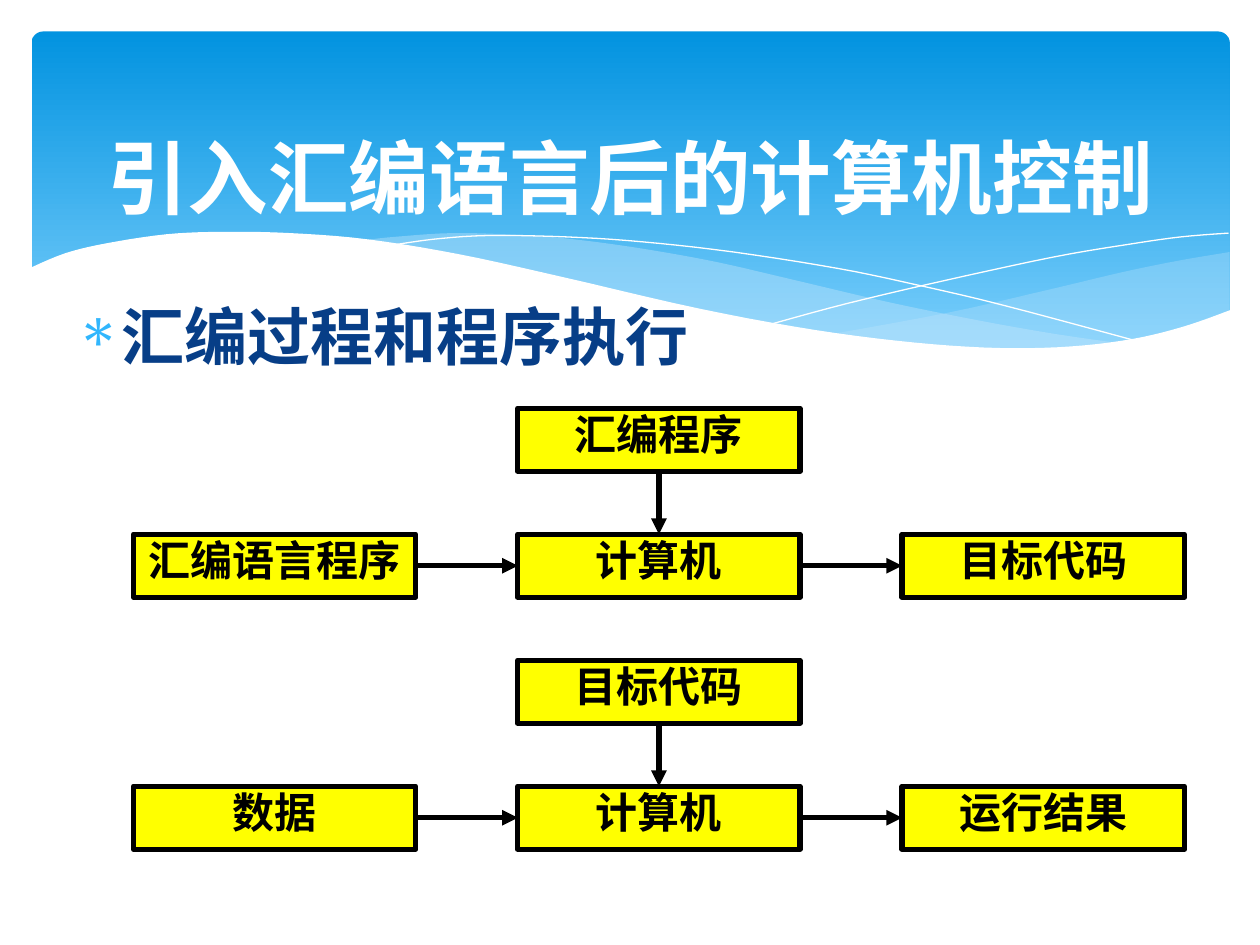
import functools
from typing import NamedTuple, Optional

import pptx
import pptx.dml.color
import pptx.enum.shapes
import pptx.enum.text
import pptx.oxml.ns
import pptx.util
from lxml import etree

Pt = pptx.util.Pt
RGBColor = pptx.dml.color.RGBColor
MSO_SHAPE = pptx.enum.shapes.MSO_SHAPE
MSO_ANCHOR = pptx.enum.text.MSO_ANCHOR
PP_ALIGN = pptx.enum.text.PP_ALIGN
qn = pptx.oxml.ns.qn

WHITE = RGBColor(0xFF, 0xFF, 0xFF)
BLACK = RGBColor(0, 0, 0)
YELLOW = RGBColor(0xFF, 0xFF, 0)
NAVY = RGBColor(0x07, 0x3E, 0x87)
PALE_BLUE = RGBColor(0xC6, 0xE7, 0xFC)
BULLET_BLUE = RGBColor(0x31, 0xB6, 0xFD)
BANNER_TOP = RGBColor(0x02, 0x93, 0xE0)
BANNER_BOTTOM = RGBColor(0x83, 0xD3, 0xFE)

BOX_W, BOX_H = 161.3, 36
GRID_LEFT, GRID_TOP = 76.3, 233.3
COL_STEP, ROW_STEP = 219.6, 72
TOP, LEFT, BOTTOM, RIGHT = range(4)


class Wave(NamedTuple):
    """Edges are smoothed one by one; a wave without fill is an open line."""
    edges: list
    fill: Optional[RGBColor] = None
    alpha: int = 100


class Flow(NamedTuple):
    row: int
    control: str
    source: str
    machine: str
    result: str


WAVES = [
    Wave([[(702.7, 144), (673.2, 149), (641.5, 155.5), (599, 165.6),
           (542.2, 178.6), (475.9, 190.8)],
          [(475.9, 190.8), (507.6, 195.1), (545, 198.7), (578.2, 200.2),
           (614.9, 198.7), (645.8, 194.4), (673.2, 188.6), (702.7, 177.8)]],
         PALE_BLUE, 29),
    Wave([[(643, 196.6), (602.6, 190.8), (558, 182.9), (508.3, 172.8),
           (452.9, 159.8), (409.7, 149.8), (370.1, 142.6), (334.1, 137.5),
           (302.4, 134.6), (259.9, 133.2), (225.4, 135.4), (205.9, 137.5)],
          [(205.9, 137.5), (246.2, 143.3), (290.9, 151.9), (323.3, 159.8),
           (381.6, 172.8), (432.7, 183.6), (478.8, 191.5), (519.8, 197.3),
           (565.2, 200.2), (596.2, 200.2), (643, 196.6)]],
         PALE_BLUE, 40),
    Wave([[(222.5, 140.4), (247, 136.8), (278.6, 134.6), (324, 135.4),
           (367.2, 138.2), (419, 144), (478.8, 153.4), (523.4, 162.7),
           (572.4, 174.2), (653, 195.8)]]),
    Wave([[(441.4, 185), (483.8, 173.5), (538.6, 160.6), (601.9, 146.9),
           (644.4, 139.7), (674.6, 135.4), (702, 133.2)]]),
    Wave([[(703.4, 177.1), (676.8, 186.5), (647.3, 193.7), (612, 198),
           (571, 198.9), (522.7, 195.8), (465.8, 188.6), (399.6, 176.4),
           (321.8, 158.4), (262.8, 145.4), (210.2, 136.8), (165.6, 133.2),
           (126.7, 132.5), (95, 133.9), (61.2, 139), (37.4, 144.7),
           (16.6, 153.4)],
          [(16.6, 236.9), (703.4, 236.9)]],
         WHITE),
]

FLOWS = [
    Flow(0, "汇编程序", "汇编语言程序", "计算机", "目标代码"),
    Flow(2, "目标代码", "数据", "计算机", "运行结果"),
]

TITLE_FONT = {"size": Pt(46), "name": "Calibri", "bold": True}
BODY_FONT = {"size": Pt(36), "name": "Calibri", "bold": True}
BOX_FONT = {"size": Pt(24), "name": "Times New Roman", "bold": True}


def write_text(tf, text: str, font: dict, color: RGBColor, align, anchor):
    tf.word_wrap = True
    tf.auto_size = pptx.enum.text.MSO_AUTO_SIZE.NONE
    tf.vertical_anchor = anchor
    p = tf.paragraphs[0]
    p.alignment = align
    p.space_before = Pt(0)
    r = p.add_run()
    r.text = text
    for name, value in font.items():
        setattr(r.font, name, value)
    r.font.color.rgb = color
    return p


def place(sp, left: float, top: float, width: float, height: float) -> None:
    sp.left, sp.top, sp.width, sp.height = map(Pt, (left, top, width, height))


def smooth(knots: list, steps: int = 5) -> list:
    """Catmull-Rom points through the knots."""
    if len(knots) < 3:
        return knots
    ends = [knots[0], *knots, knots[-1]]
    points = [knots[0]]
    for quad in zip(ends, ends[1:], ends[2:], ends[3:]):
        for step in range(1, steps + 1):
            t = step / steps
            points.append(tuple(
                b + t / 2 * (c - a + t * (2 * a - 5 * b + 4 * c - d
                                          + t * (3 * (b - c) + d - a)))
                for a, b, c, d in zip(*quad)))
    return points


def draw_wave(shapes, wave: Wave) -> None:
    points = [(Pt(x), Pt(y)) for edge in wave.edges for x, y in smooth(edge)]
    builder = shapes.build_freeform(*points[0])
    builder.add_line_segments(points[1:], close=wave.fill is not None)
    sp = builder.convert_to_shape()
    sp.shadow.inherit = False
    if wave.fill is None:
        sp.fill.background()
        sp.line.color.rgb = WHITE
        sp.line.width = Pt(0)
        return
    sp.line.fill.background()
    sp.fill.solid()
    sp.fill.fore_color.rgb = wave.fill
    if wave.alpha < 100:
        color = sp._element.spPr.find(qn("a:solidFill"))[0]
        etree.SubElement(color, qn("a:alpha"), val=str(wave.alpha * 1000))


def draw_banner(shapes) -> None:
    sp = shapes.add_shape(MSO_SHAPE.ROUNDED_RECTANGLE,
                          Pt(18), Pt(18), Pt(684.7), Pt(194.4))
    sp.adjustments[0] = 0.034
    sp.shadow.inherit = False
    sp.line.fill.background()
    sp.fill.gradient()
    sp.fill.gradient_angle = 270
    stops = zip(sp.fill.gradient_stops, (BANNER_TOP, BANNER_BOTTOM), (0, 1))
    for stop, color, position in stops:
        stop.color.rgb = color
        stop.position = position


def draw_box(shapes, text: str, col: int, row: int):
    sp = shapes.add_shape(MSO_SHAPE.RECTANGLE, 0, 0, 0, 0)
    place(sp, GRID_LEFT + col * COL_STEP, GRID_TOP + row * ROW_STEP, BOX_W, BOX_H)
    sp.shadow.inherit = False
    sp.fill.solid()
    sp.fill.fore_color.rgb = YELLOW
    sp.line.color.rgb = BLACK
    sp.line.width = Pt(3)
    tf = sp.text_frame
    for side in ("left", "top", "right", "bottom"):
        setattr(tf, f"margin_{side}", 0)
    write_text(tf, text, BOX_FONT, BLACK, PP_ALIGN.CENTER, MSO_ANCHOR.TOP)
    return sp


def draw_arrow(shapes, start, start_side: int, end, end_side: int) -> None:
    cx = shapes.add_connector(pptx.enum.shapes.MSO_CONNECTOR.STRAIGHT, 0, 0, 0, 0)
    cx.begin_connect(start, start_side)
    cx.end_connect(end, end_side)
    cx.line.color.rgb = BLACK
    cx.line.width = Pt(3)
    etree.SubElement(cx.line._get_or_add_ln(), qn("a:tailEnd"), type="triangle")
    etree.SubElement(cx._element.spPr, qn("a:effectLst"))


def draw_flow(shapes, flow: Flow) -> None:
    box = functools.partial(draw_box, shapes)
    control = box(flow.control, 1, flow.row)
    source, machine, result = (
        box(text, col, flow.row + 1)
        for col, text in enumerate((flow.source, flow.machine, flow.result)))
    draw_arrow(shapes, source, RIGHT, machine, LEFT)
    draw_arrow(shapes, machine, RIGHT, result, LEFT)
    draw_arrow(shapes, control, BOTTOM, machine, TOP)


def add_bullet(p) -> None:
    pPr = p._p.get_or_add_pPr()
    pPr.set("marL", str(Pt(21.6)))
    pPr.set("indent", str(-Pt(21.6)))
    color = etree.SubElement(pPr, qn("a:buClr"))
    etree.SubElement(color, qn("a:srgbClr"), val=str(BULLET_BLUE))
    etree.SubElement(pPr, qn("a:buFont"), typeface="Symbol")
    etree.SubElement(pPr, qn("a:buChar"), char="∗")


def main() -> None:
    prs = pptx.Presentation()
    prs.slide_width, prs.slide_height = Pt(720), Pt(540)
    s = prs.slides.add_slide(prs.slide_layouts[1])
    title, body = s.placeholders
    draw_banner(s.shapes)
    for wave in WAVES:
        draw_wave(s.shapes, wave)

    place(body, 36, 166.3, 645.8, 58.3)
    add_bullet(write_text(body.text_frame, "汇编过程和程序执行", BODY_FONT, NAVY,
                          PP_ALIGN.LEFT, MSO_ANCHOR.TOP))
    place(title, 36, 67.7, 648, 66.2)
    write_text(title.text_frame, "引入汇编语言后的计算机控制", TITLE_FONT, WHITE,
               PP_ALIGN.CENTER, MSO_ANCHOR.MIDDLE)
    for sp in (body, title):  # bring the text in front of the waves
        s.shapes._spTree.append(sp._element)

    for flow in FLOWS:
        draw_flow(s.shapes, flow)
    prs.save("out.pptx")


if __name__ == "__main__":
    main()
